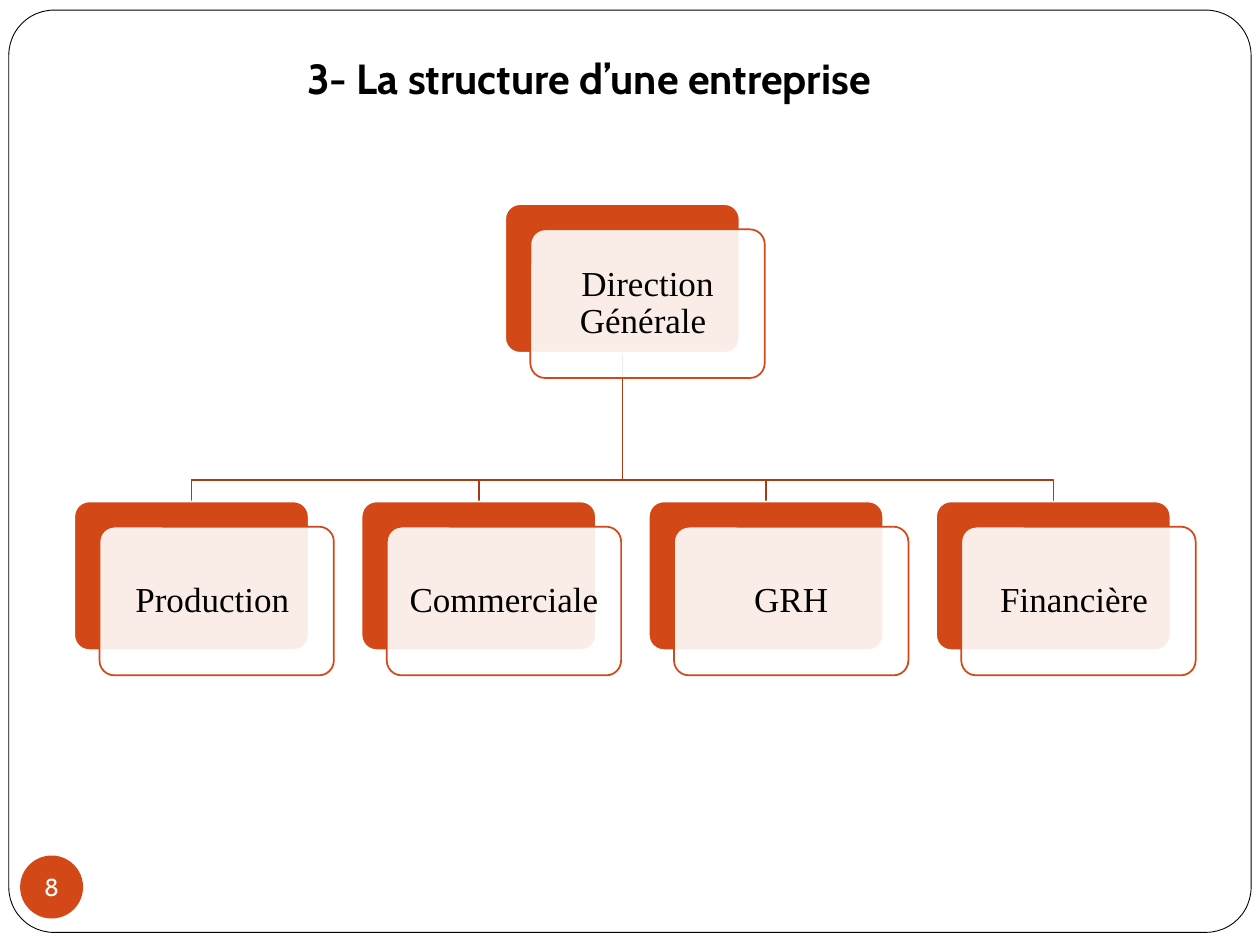
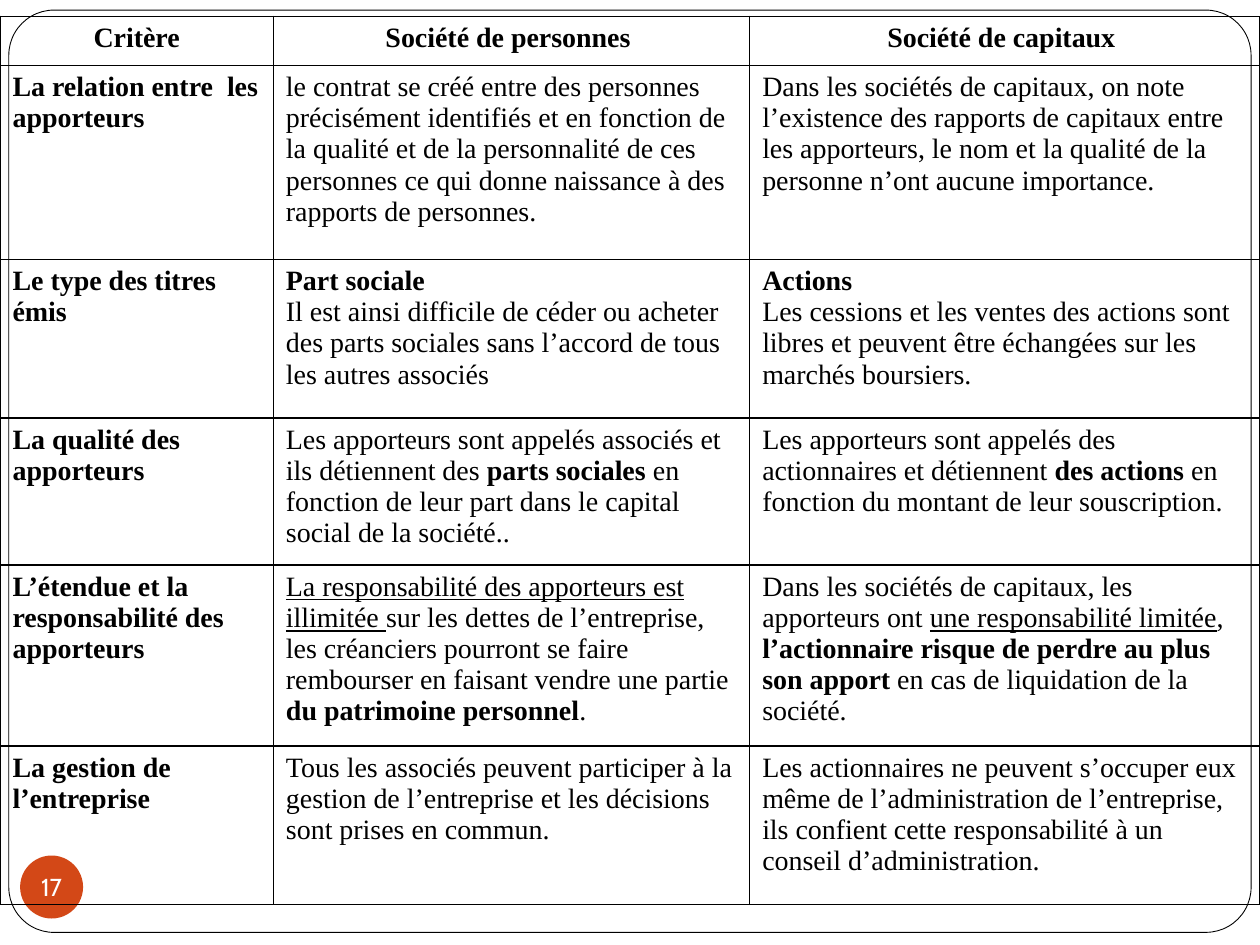
import typing

import lxml.etree
import pptx
import pptx.dml.color
import pptx.enum.shapes
import pptx.enum.text
import pptx.oxml.ns
import pptx.util

Inches = pptx.util.Inches
Pt = pptx.util.Pt
Color = pptx.dml.color.RGBColor
Shape = pptx.enum.shapes.MSO_SHAPE
Align = pptx.enum.text.PP_ALIGN
Anchor = pptx.enum.text.MSO_ANCHOR
qn = pptx.oxml.ns.qn

WHITE = Color(0xFF, 0xFF, 0xFF)
BLACK = Color(0x00, 0x00, 0x00)
BRICK = Color(0xD3, 0x48, 0x17)
RUST = Color(0xA9, 0x3A, 0x12)
SANS = "Cabin"
SERIF = "Times New Roman"


class Box(typing.NamedTuple):
    left: float
    top: float
    width: float
    height: float

    def lengths(self) -> list:
        return [Inches(side) for side in self]


class Run(typing.NamedTuple):
    text: str
    bold: bool = False
    under: bool = False


class Font(typing.NamedTuple):
    name: str
    size: int
    color: Color = BLACK


class Card(typing.NamedTuple):
    label: str
    left: float
    top: float


Para = list[Run]

TITLE = Font(SANS, 24)
NUMBER = Font(SANS, 14, WHITE)
LABEL = Font(SERIF, 20)
BODY = Font(SERIF, 16)

# Organisation chart
WIDE, HIGH = 1.86, 1.18
SHIFT = 0.2
INSET = 0.04
ROW_TOP = 3.98
BUS = 3.81
HEAD = Card("Direction Générale ", 4.01, 1.62)
UNITS = [
    Card(label, 0.59 + 2.28 * place, ROW_TOP)
    for place, label in enumerate(
        ["Production ", "Commerciale ", "GRH", "Financière "])
]

# Comparison table
COLS = [2.17, 3.78, 4.05]
ROWS = [0.39, 1.54, 1.26, 0.97, 1.29, 1.26]
HEADS = ["Critère", "Société de personnes ", "Société de capitaux "]
POINTS: list[tuple[str, list[Para], list[Para]]] = [
    ("La relation entre  les apporteurs",
     [[Run("le contrat se créé entre des personnes précisément identifiés et "
           "en fonction de la qualité et de la personnalité de ces personnes "
           "ce qui donne naissance à des rapports de personnes.")]],
     [[Run("Dans les sociétés de capitaux, on note l’existence des rapports "
           "de capitaux entre les apporteurs, le nom et la qualité de la "
           "personne n’ont aucune importance.")]]),
    ("Le type des titres émis",
     [[Run("Part sociale", bold=True)],
      [Run("Il est ainsi difficile de céder ou acheter des parts sociales "
           "sans l’accord de tous les autres associés")]],
     [[Run("Actions", bold=True)],
      [Run("Les cessions et les ventes des actions sont libres et peuvent "
           "être échangées sur les marchés boursiers.")]]),
    ("La qualité des apporteurs",
     [[Run("Les apporteurs sont appelés associés et ils détiennent des "),
       Run("parts sociales ", bold=True),
       Run("en fonction de leur part dans le capital social de la "
           "société..")]],
     [[Run("Les apporteurs sont appelés des actionnaires et détiennent "),
       Run("des actions ", bold=True),
       Run("en fonction du montant de leur souscription.")]]),
    ("L’étendue et la responsabilité des apporteurs",
     [[Run("La responsabilité des apporteurs est illimitée ", under=True),
       Run("sur les dettes de l’entreprise, les créanciers pourront se faire "
           "rembourser en faisant vendre une partie "),
       Run("du patrimoine personnel", bold=True),
       Run(".")]],
     [[Run("Dans les sociétés de capitaux, les apporteurs ont "),
       Run("une responsabilité limitée", under=True),
       Run(", "),
       Run("l’actionnaire risque de perdre au plus son apport", bold=True),
       Run(" en cas de liquidation de la société.")]]),
    ("La gestion de l’entreprise",
     [[Run("Tous les associés peuvent participer à la gestion de "
           "l’entreprise et les décisions sont prises en commun.")]],
     [[Run("Les actionnaires ne peuvent s’occuper eux même de "
           "l’administration de l’entreprise, ils confient cette "
           "responsabilité à un conseil d’administration.")]]),
]


def write(frame, paras: list[Para], font: Font, align=Align.LEFT,
          spacing: float = 1.0) -> None:
    for place, runs in enumerate(paras):
        para = frame.add_paragraph() if place else frame.paragraphs[0]
        para.alignment = align
        para.line_spacing = spacing
        for item in runs:
            run = para.add_run()
            run.text = item.text
            run.font.name = font.name
            run.font.size = Pt(font.size)
            run.font.color.rgb = font.color
            run.font.bold = item.bold
            run.font.underline = item.under


def set_frame(frame, anchor, insets: tuple, wrap: bool = True) -> None:
    frame.word_wrap = wrap
    frame.vertical_anchor = anchor
    (frame.margin_left, frame.margin_top,
     frame.margin_right, frame.margin_bottom) = map(Inches, insets)


def add_solid(slide, kind, box: Box, fill: Color, line: Color | None = None,
              weight: float = 1, curve: float | None = None):
    shape = slide.shapes.add_shape(kind, *box.lengths())
    shape.shadow.inherit = False
    shape.fill.solid()
    shape.fill.fore_color.rgb = fill
    if line is None:
        shape.line.fill.background()
    else:
        shape.line.color.rgb = line
        shape.line.width = Pt(weight)
    if curve is not None:
        shape.adjustments[0] = curve
    return shape


def add_page(deck, number: int, title: str = ""):
    """Add a slide with the rounded frame, the title and the number badge."""
    slide = deck.slides.add_slide(deck.slide_layouts[6])
    add_solid(slide, Shape.ROUNDED_RECTANGLE, Box(0.07, 0.08, 9.86, 7.32),
              WHITE, BLACK, 0.5, 0.049)
    if title:
        box = Box(2.34, 0.21, 5.1, 0.71)
        frame = slide.shapes.add_textbox(*box.lengths()).text_frame
        set_frame(frame, Anchor.BOTTOM, (0.1, 0.05, 0.1, 0.1))
        write(frame, [[Run(title, bold=True)]], TITLE)
    badge = add_solid(slide, Shape.OVAL, Box(0.16, 6.79, 0.5, 0.5), BRICK)
    set_frame(badge.text_frame, Anchor.MIDDLE, (0, 0, 0, 0), wrap=False)
    write(badge.text_frame, [[Run(str(number))]], NUMBER, Align.CENTER)
    return slide


def add_branch(slide, head: Card, unit: Card) -> None:
    start, end = head.left + WIDE / 2, unit.left + WIDE / 2
    points = [(start, BUS), (end, BUS), (end, unit.top)]
    pen = slide.shapes.build_freeform(
        Inches(start), Inches(head.top + HIGH))
    pen.add_line_segments(
        [(Inches(x), Inches(y)) for x, y in points], close=False)
    branch = pen.convert_to_shape()
    branch.shadow.inherit = False
    branch.fill.background()
    branch.line.color.rgb = RUST
    branch.line.width = Pt(1)


def add_card(slide, card: Card) -> None:
    """Draw a solid plate and a translucent, labelled plate shifted over it."""
    back = Box(card.left, card.top, WIDE, HIGH)
    front = Box(card.left + SHIFT, card.top + SHIFT, WIDE, HIGH)
    add_solid(slide, Shape.ROUNDED_RECTANGLE, back, BRICK, WHITE, curve=0.1)
    plate = add_solid(slide, Shape.ROUNDED_RECTANGLE, front, WHITE, BRICK,
                      curve=0.1)
    tint = plate.fill._xPr.find(qn("a:solidFill")).find(qn("a:srgbClr"))
    lxml.etree.SubElement(tint, qn("a:alpha"), val="90000")
    pad = INSET + 0.08
    set_frame(plate.text_frame, Anchor.MIDDLE, (pad,) * 4)
    write(plate.text_frame, [[Run(card.label)]], LABEL, Align.CENTER, 0.9)


def add_borders(cell) -> None:
    props = cell._tc.get_or_add_tcPr()
    for side in ("lnL", "lnR", "lnT", "lnB"):
        line = lxml.etree.SubElement(props, qn(f"a:{side}"), w=str(Pt(1)))
        fill = lxml.etree.SubElement(line, qn("a:solidFill"))
        lxml.etree.SubElement(fill, qn("a:srgbClr"), val=str(BLACK))


def add_grid(slide) -> None:
    box = Box(0, 0.13, sum(COLS), sum(ROWS))
    grid = slide.shapes.add_table(
        len(ROWS), len(COLS), *box.lengths()).table
    grid.first_row = grid.horz_banding = False
    for col, width in zip(grid.columns, COLS):
        col.width = Inches(width)
    for row, height in zip(grid.rows, ROWS):
        row.height = Inches(height)

    texts = [[[[Run(head, bold=True)]] for head in HEADS]]
    texts += [[[[Run(name, bold=True)]], people, funds]
              for name, people, funds in POINTS]
    for r, line in enumerate(texts):
        for c, paras in enumerate(line):
            cell = grid.cell(r, c)
            add_borders(cell)
            cell.fill.background()
            align = Align.LEFT if r else Align.CENTER
            write(cell.text_frame, paras, BODY, align)


def main() -> None:
    deck = pptx.Presentation()
    deck.slide_width, deck.slide_height = Inches(10), Inches(7.5)

    chart = add_page(deck, 8, "3- La structure d’une entreprise")
    for unit in reversed(UNITS):
        add_branch(chart, HEAD, unit)
    for card in [HEAD, *UNITS]:
        add_card(chart, card)

    add_grid(add_page(deck, 17))
    deck.save("out.pptx")


if __name__ == "__main__":
    main()
